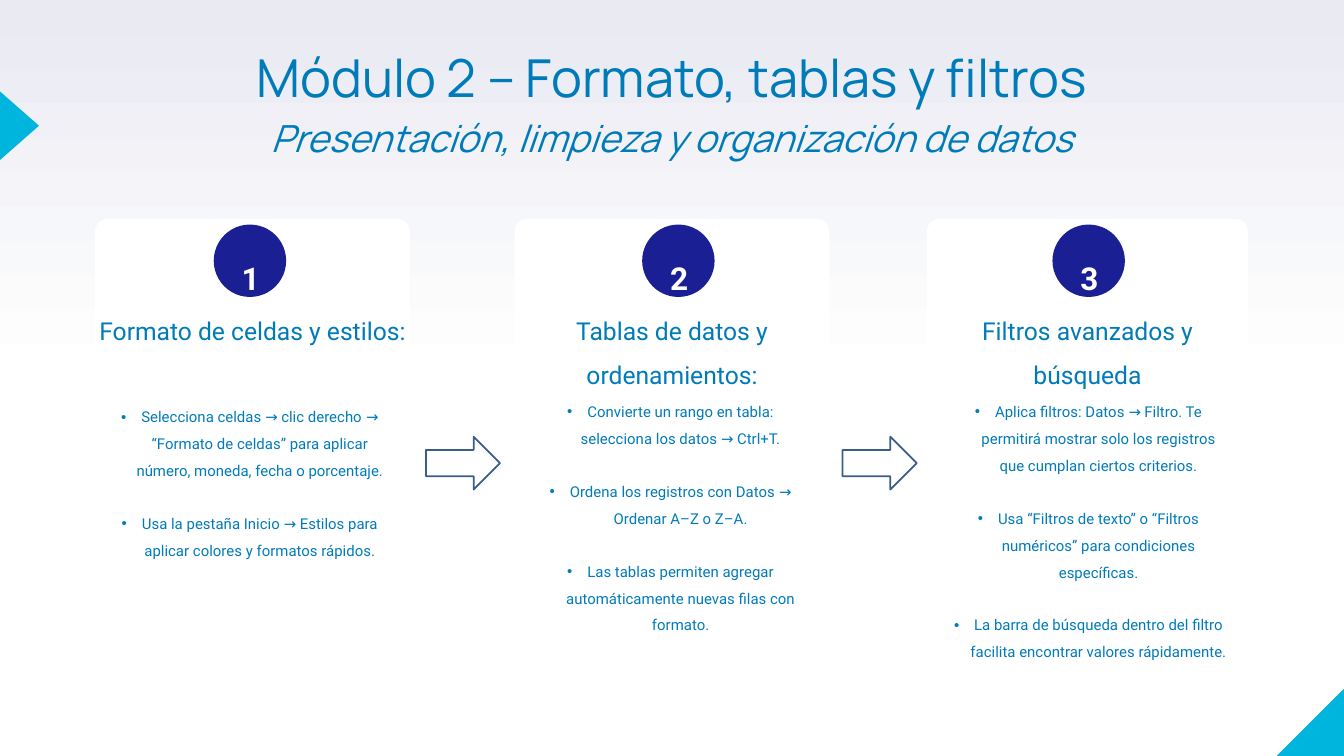
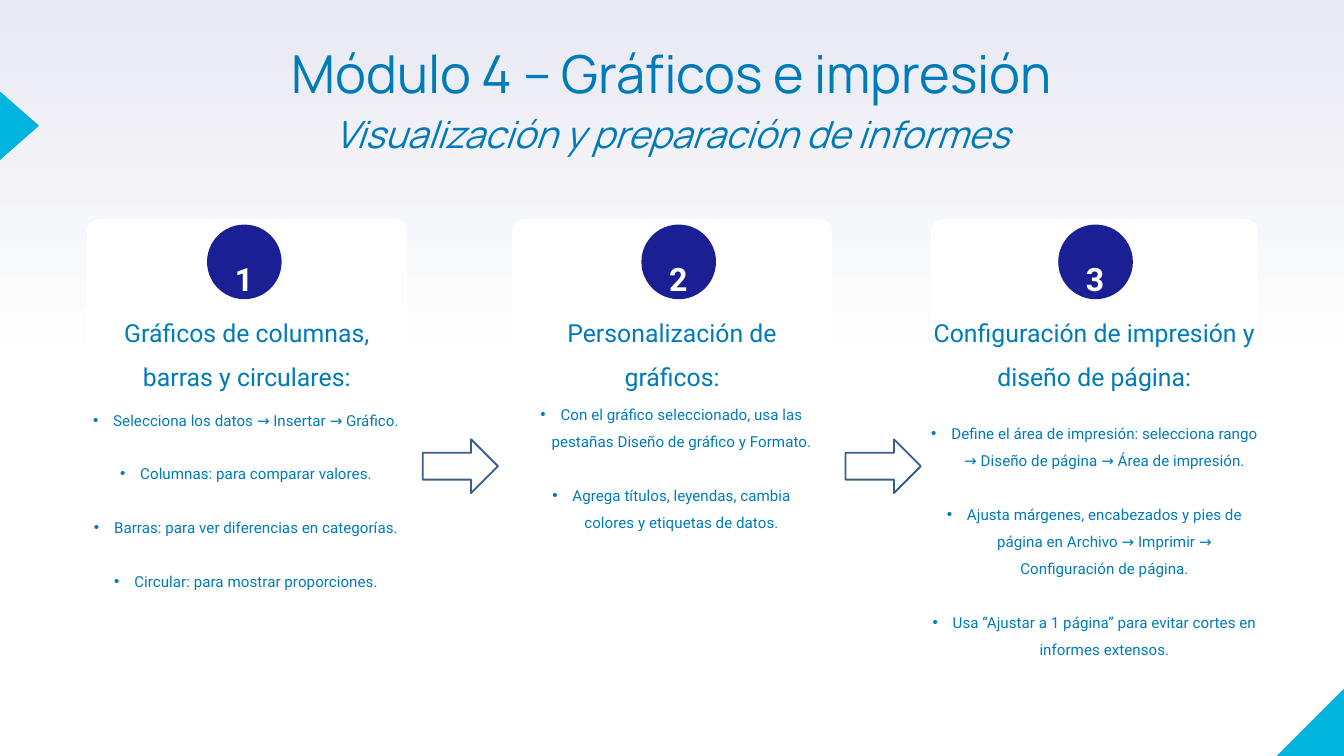
import pptx
import pptx.util
import pptx.dml.color
import pptx.enum.shapes
import pptx.enum.text
import pptx.oxml
import pptx.oxml.ns

Pt = pptx.util.Pt
FORMS = pptx.enum.shapes.MSO_SHAPE
FIT = pptx.enum.text.MSO_AUTO_SIZE

COLORS = {
    "ink": "007BB9", "dot": "1A2093", "cyan": "00B5DD",
    "edge": "395E89", "white": "FFFFFF", "mist": "E9EAF2",
}
HEAD_FONT, BODY_FONT = "Manrope", "Roboto"
WIDE, HIGH = 720, 405
CARD_TOP, DOT_TOP, NUM_TOP, ROUND = 117.4, 120.3, 127.4, 6.5
INDENT = 10.8

# Each column: heading, card (left, width), heading inset, dot left,
# list (left, top, width), list items
DECK = [
    {
        "title": ("Módulo 2 – Formato, tablas y filtros",
                  "Presentación, limpieza y organización de datos"),
        "title_box": (0, 19.4, WIDE, 48.2),
        "card_h": 261.4, "dot": 38.8, "head_top": 161.3,
        "sizes": {"head": 13.2, "num": 16.9, "list": 8},
        "arrows": {"lefts": (228.2, 451.4), "top": 234, "size": (39.7, 28.3), "line": 0.94},
        "columns": [
            ("Formato de celdas y estilos:", (51, 168.6), 0, 114.5, (58.3, 213.8, 151.2), [
                "Selecciona celdas → clic derecho → “Formato de celdas” para aplicar número, "
                "moneda, fecha o porcentaje.",
                "Usa la pestaña Inicio → Estilos para aplicar colores y formatos rápidos."]),
            ("Tablas de datos y ordenamientos:", (275.7, 168.6), 4.3, 344, (283.7, 211, 151.2), [
                "Convierte un rango en tabla: selecciona los datos → Ctrl+T.",
                "Ordena los registros con Datos → Ordenar A–Z o Z–A.",
                "Las tablas permiten agregar automáticamente nuevas filas con formato."]),
            ("Filtros avanzados y búsqueda", (496.6, 172), 0, 563.8, (507.6, 211, 151.2), [
                "Aplica filtros: Datos → Filtro. Te permitirá mostrar solo los registros "
                "que cumplan ciertos criterios.",
                "Usa “Filtros de texto” o “Filtros numéricos” para condiciones específicas.",
                "La barra de búsqueda dentro del filtro facilita encontrar valores rápidamente."]),
        ],
    },
    {
        "title": ("Módulo 4 – Gráficos e impresión",
                  "Visualización y preparación de informes"),
        "title_box": (0, 17.3, WIDE, 46),
        "card_h": 265, "dot": 40, "head_top": 162,
        "sizes": {"head": 13.3, "num": 17.2, "list": 8.1},
        "arrows": {"lefts": (226.5, 453), "top": 235.4, "size": (40.3, 28.8), "line": 0.95},
        "columns": [
            ("Gráficos de columnas, barras y circulares:", (46.6, 171.4), 0, 110.9,
             (46.1, 215.3, 171.4), [
                "Selecciona los datos → Insertar → Gráfico.",
                "Columnas: para comparar valores.",
                "Barras: para ver diferencias en categorías.",
                "Circular: para mostrar proporciones."]),
            ("Personalización de gráficos:", (274.4, 171.4), 4.7, 343.6, (283, 212.4, 153.4), [
                "Con el gráfico seleccionado, usa las pestañas Diseño de gráfico y Formato.",
                "Agrega títulos, leyendas, cambia colores y etiquetas de datos."]),
            ("Configuración de impresión y diseño de página:", (498.8, 175), 0, 566.9,
             (498.8, 222.5, 175), [
                "Define el área de impresión: selecciona rango → Diseño de página → "
                "Área de impresión.",
                "Ajusta márgenes, encabezados y pies de página en Archivo → Imprimir → "
                "Configuración de página.",
                "Usa “Ajustar a 1 página” para evitar cortes en informes extensos."]),
        ],
    },
]


def rgb(name):
    return pptx.dml.color.RGBColor.from_string(COLORS[name])


def place(shape, box):
    shape.left, shape.top, shape.width, shape.height = map(Pt, box)


def draw(slide, form, box, fill, edge=None, weight=1):
    shape = slide.shapes.add_shape(form, *map(Pt, box))
    shape.shadow.inherit = False
    shape.fill.solid()
    shape.fill.fore_color.rgb = rgb(fill)
    if edge:
        shape.line.color.rgb = rgb(edge)
        shape.line.width = Pt(weight)
    else:
        shape.line.fill.background()
    return shape


def write(shape, lines, size, space, font=BODY_FONT, color="ink", bold=False, fit=FIT.SHAPE_TO_FIT_TEXT):
    frame = shape.text_frame
    frame.text = "\n".join(lines)
    frame.word_wrap = True
    frame.auto_size = fit
    frame.vertical_anchor = pptx.enum.text.MSO_ANCHOR.TOP
    frame.margin_left = frame.margin_right = frame.margin_top = frame.margin_bottom = 0
    for para in frame.paragraphs:
        para.alignment = pptx.enum.text.PP_ALIGN.CENTER
        para.line_spacing = space
        para.space_before = Pt(0)
        for run in para.runs:
            run.font.name, run.font.size, run.font.bold = font, Pt(size), bold
            run.font.color.rgb = rgb(color)
    return frame.paragraphs


def label(slide, box, text, size, space, **style):
    write(slide.shapes.add_textbox(*map(Pt, box)), [text], size, space, **style)


def bullet(para):
    props = para._p.get_or_add_pPr()
    props.set("marL", str(Pt(INDENT)))
    props.set("indent", str(-Pt(INDENT)))
    space = pptx.oxml.ns.nsdecls("a")
    for tag in (f'<a:buClr {space}><a:srgbClr val="{COLORS["ink"]}"/></a:buClr>',
                f'<a:buChar {space} char="•"/>'):
        props.append(pptx.oxml.parse_xml(tag))


def fill_list(shape, box, items, size):
    place(shape, box)
    shape.element.getparent().append(shape.element)  # bring in front of the card
    for i, para in enumerate(write(shape, items, size, 1.5)):
        if i:
            para.space_before = Pt(1.75 * size)
        bullet(para)


def add_title(slide, lines, box):
    place(slide.shapes.title, box)
    paras = write(slide.shapes.title, lines, 28, 1.15, font=HEAD_FONT, fit=FIT.NONE)
    paras[1].runs[0].font.size = Pt(20)
    paras[1].runs[0].font.italic = True


def add_trim(slide):
    corner = draw(slide, FORMS.RIGHT_TRIANGLE, (684, 368.3, 36.7, 36.7), "cyan")
    corner.element.spPr.xfrm.set("flipH", "1")
    side = draw(slide, FORMS.ISOSCELES_TRIANGLE, (-7.9, 56.9, 36.7, 20.9), "cyan")
    side.rotation = 90


def add_column(slide, data, num, column):
    head, (left, width), inset, dot_x, (list_x, list_y, list_w), items = column
    sizes, dot = data["sizes"], data["dot"]
    card = draw(slide, FORMS.ROUNDED_RECTANGLE, (left, CARD_TOP, width, data["card_h"]), "white")
    card.adjustments[0] = ROUND / width
    label(slide, (left + inset, data["head_top"], width - 2 * inset, 40), head, sizes["head"], 1.5)
    draw(slide, FORMS.OVAL, (dot_x, DOT_TOP, dot, dot), "dot")
    label(slide, (dot_x, NUM_TOP, 39.6, 20.5), str(num), sizes["num"], 1.57,
          color="white", bold=True)
    fill_list(slide.placeholders[num], (list_x, list_y, list_w, 150), items, sizes["list"])


def set_back(master):
    fill = master.background.fill
    fill.gradient()
    fill.gradient_angle = 90
    for stop, (pos, name) in zip(fill.gradient_stops, ((0.5, "white"), (1, "mist"))):
        stop.position = pos
        stop.color.rgb = rgb(name)


def main():
    prs = pptx.Presentation()
    prs.slide_width, prs.slide_height = Pt(WIDE), Pt(HIGH)
    set_back(prs.slide_master)
    for data in DECK:
        slide = prs.slides.add_slide(prs.slide_layouts.get_by_name("Comparison"))
        add_trim(slide)
        add_title(slide, data["title"], data["title_box"])
        for num, column in enumerate(data["columns"], 1):
            add_column(slide, data, num, column)
        spare = slide.placeholders[4].element
        spare.getparent().remove(spare)
        arrows = data["arrows"]
        for left in arrows["lefts"]:
            draw(slide, FORMS.RIGHT_ARROW, (left, arrows["top"], *arrows["size"]),
                 "white", "edge", arrows["line"])
    prs.save("out.pptx")


if __name__ == "__main__":
    main()
